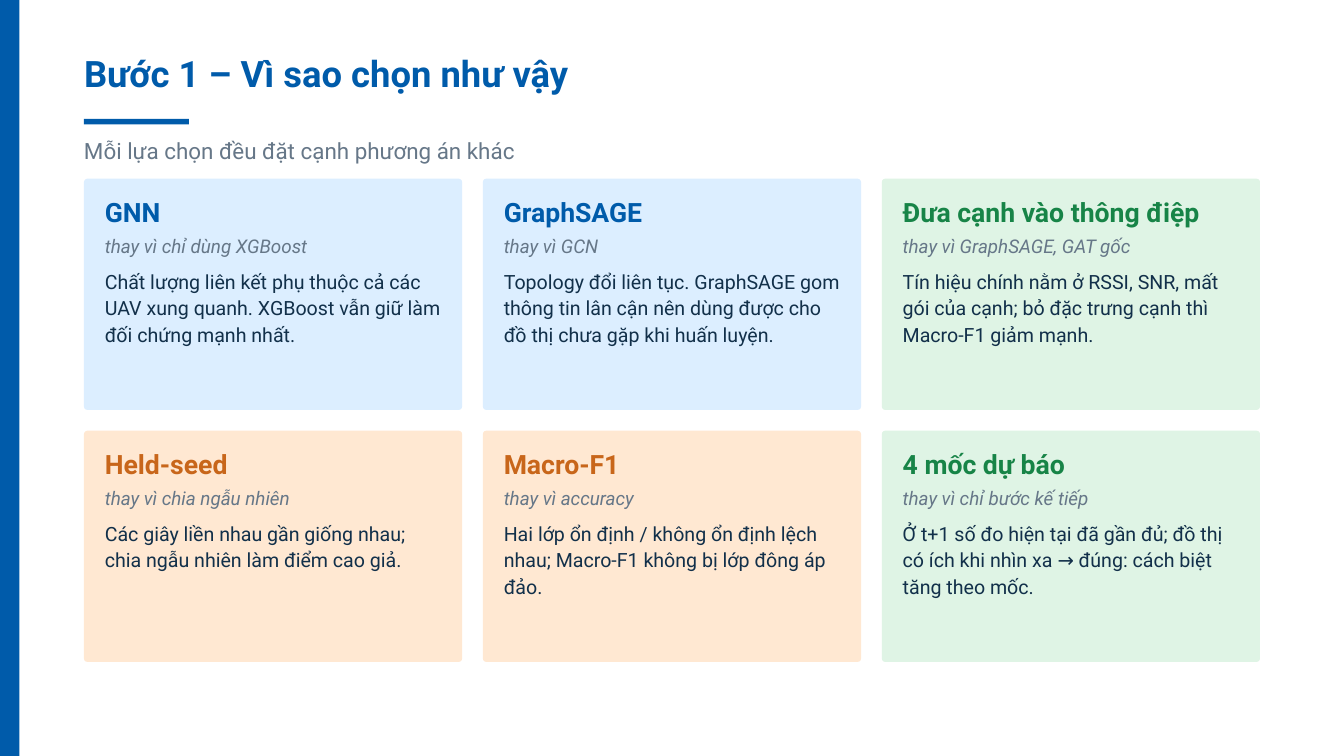
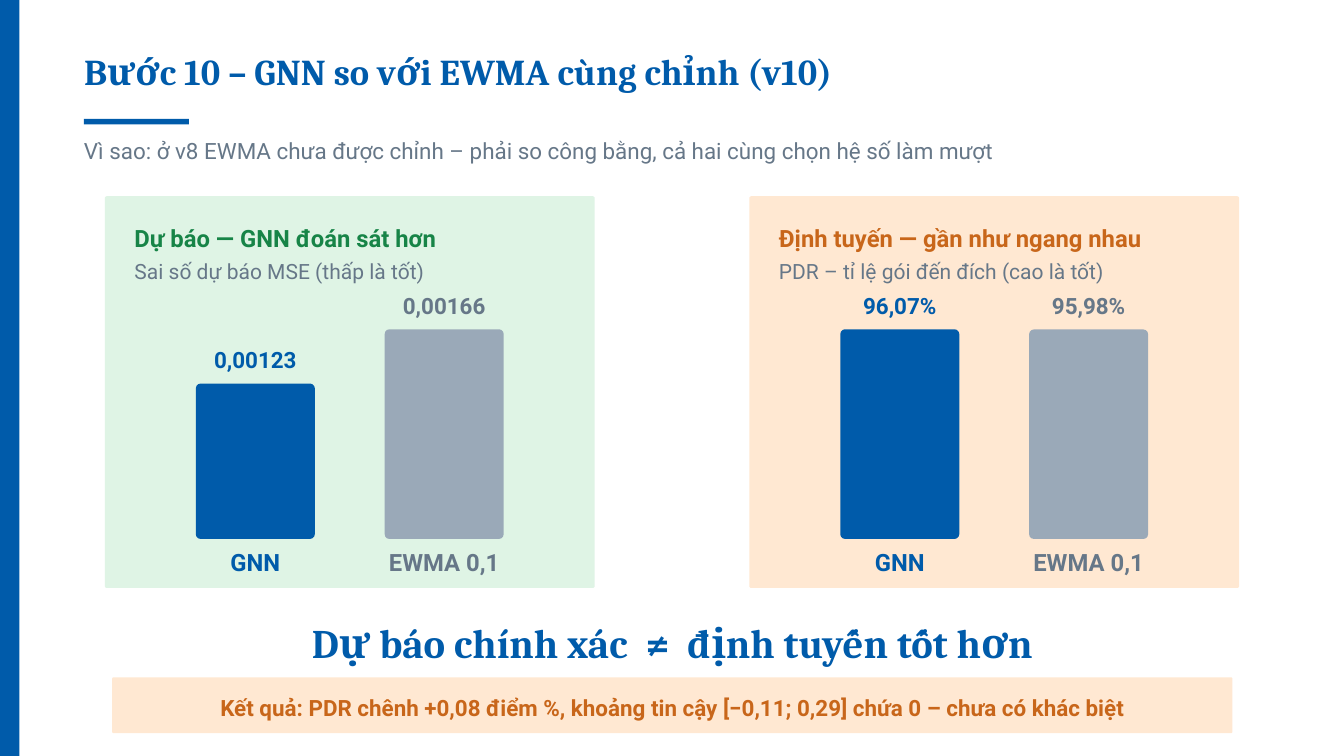
from pptx import Presentation
from pptx.dml.color import RGBColor
from pptx.enum.shapes import MSO_SHAPE
from pptx.enum.text import MSO_ANCHOR, MSO_AUTO_SIZE, PP_ALIGN
from pptx.util import Inches, Pt

BLUE, GREEN, ORANGE = "005BAA", "178447", "C8661A"
GREY, INK, BAR_GREY = "667788", "12304A", "9AA9B8"
TINT = {BLUE: "DCEEFF", GREEN: "DFF4E5", ORANGE: "FFE8D2"}

# Text styles: font settings plus exact line spacing in points
STYLES = {
    "title": dict(name="Roboto", size=39, bold=True, spacing=54.6),
    "serif title": dict(name="Cambria", size=39, bold=True, spacing=43.7),
    "subtitle": dict(name="Roboto", size=24, spacing=33.6),
    "card title": dict(name="Roboto", size=28.5, bold=True, spacing=39.9),
    "card note": dict(name="Roboto", size=20.2, italic=True, spacing=28.4),
    "card body": dict(name="Roboto", size=21, spacing=28.4),
    "panel title": dict(name="Roboto", size=25.5, bold=True, spacing=31.9),
    "panel note": dict(name="Roboto", size=22.5, spacing=31.5),
    "bar name": dict(name="Roboto", size=25.5, bold=True, spacing=35.7),
    "strong": dict(name="Roboto", size=24, bold=True, spacing=33.6),
    "takeaway": dict(name="Cambria", size=43.5, bold=True, spacing=60.9),
}

SLIDE_W, SLIDE_H = 20, 11.25
MARGIN = 1.25

REASONS_TITLE = "Bước 1 – Vì sao chọn như vậy"
REASONS_SUBTITLE = "Mỗi lựa chọn đều đặt cạnh phương án khác"
REASONS = [
    ("GNN", "thay vì chỉ dùng XGBoost",
     "Chất lượng liên kết phụ thuộc cả các UAV xung quanh. "
     "XGBoost vẫn giữ làm đối chứng mạnh nhất.", BLUE),
    ("GraphSAGE", "thay vì GCN",
     "Topology đổi liên tục. GraphSAGE gom thông tin lân cận nên dùng được cho "
     "đồ thị chưa gặp khi huấn luyện.", BLUE),
    ("Đưa cạnh vào thông điệp", "thay vì GraphSAGE, GAT gốc",
     "Tín hiệu chính nằm ở RSSI, SNR, mất gói của cạnh; "
     "bỏ đặc trưng cạnh thì Macro-F1 giảm mạnh.", GREEN),
    ("Held-seed", "thay vì chia ngẫu nhiên",
     "Các giây liền nhau gần giống nhau; chia ngẫu nhiên làm điểm cao giả.", ORANGE),
    ("Macro-F1", "thay vì accuracy",
     "Hai lớp ổn định / không ổn định lệch nhau; "
     "Macro-F1 không bị lớp đông áp đảo.", ORANGE),
    ("4 mốc dự báo", "thay vì chỉ bước kế tiếp",
     "Ở t+1 số đo hiện tại đã gần đủ; đồ thị có ích khi nhìn xa → đúng: "
     "cách biệt tăng theo mốc.", GREEN),
]

COMPARISON_TITLE = "Bước 10 – GNN so với EWMA cùng chỉnh (v10)"
COMPARISON_SUBTITLE = ("Vì sao: ở v8 EWMA chưa được chỉnh – phải so công bằng, "
                       "cả hai cùng chọn hệ số làm mượt")
METHODS = [("GNN", BLUE, BLUE), ("EWMA 0,1", BAR_GREY, GREY)]
PANELS = [
    (1.56, "Dự báo — GNN đoán sát hơn", "Sai số dự báo MSE (thấp là tốt)", GREEN,
     [(0.00123, "0,00123"), (0.00166, "0,00166")]),
    (11.15, "Định tuyến — gần như ngang nhau", "PDR – tỉ lệ gói đến đích (cao là tốt)",
     ORANGE, [(96.07, "96,07%"), (95.98, "95,98%")]),
]
TAKEAWAY = "Dự báo chính xác  ≠  định tuyến tốt hơn"
RESULT = ("Kết quả: PDR chênh +0,08 điểm %, khoảng tin cậy [−0,11; 0,29] "
          "chứa 0 – chưa có khác biệt")


def rgb(value):
    return RGBColor.from_string(value)


def write(frame, text, style, color, align):
    frame.word_wrap = True
    paragraph = frame.paragraphs[0]
    paragraph.text = text
    paragraph.alignment = align
    for key, value in STYLES[style].items():
        if key == "spacing":
            paragraph.line_spacing = Pt(value)
        else:
            setattr(paragraph.font, key, Pt(value) if key == "size" else value)
    paragraph.font.color.rgb = rgb(color)


def add_text(slide, box, text, style, color, align=PP_ALIGN.LEFT):
    frame = slide.shapes.add_textbox(*map(Inches, box)).text_frame
    for side in ("left", "top", "right", "bottom"):
        setattr(frame, f"margin_{side}", 0)
    frame.auto_size = MSO_AUTO_SIZE.SHAPE_TO_FIT_TEXT
    write(frame, text, style, color, align)


def add_block(slide, box, color, radius=0):
    """Plain filled rectangle; radius is the corner radius in inches."""
    preset = MSO_SHAPE.ROUNDED_RECTANGLE if radius else MSO_SHAPE.RECTANGLE
    block = slide.shapes.add_shape(preset, *map(Inches, box))
    if radius:
        block.adjustments[0] = radius / min(box[2:])
    block.shadow.inherit = False
    block.fill.solid()
    block.fill.fore_color.rgb = rgb(color)
    block.line.fill.background()
    return block


def add_step_slide(deck, title, title_style, title_top, subtitle):
    slide = deck.slides.add_slide(deck.slide_layouts[6])
    add_block(slide, (0, 0, 0.29, SLIDE_H), BLUE)
    add_block(slide, (MARGIN, 1.77, 1.56, 0.08), BLUE)
    add_text(slide, (MARGIN, title_top, 14.58, 1.4 - title_top), title, title_style, BLUE)
    add_text(slide, (MARGIN, 1.97, 16.67, 0.45), subtitle, "subtitle", GREY)
    return slide


def add_reason_cards(slide):
    columns, gap, height, inset = 3, 0.31, 3.44, 0.31
    width = (SLIDE_W - 2 * MARGIN - (columns - 1) * gap) / columns
    for index, (choice, instead_of, reason, color) in enumerate(REASONS):
        row, column = divmod(index, columns)
        left = MARGIN + column * (width + gap)
        top = 2.66 + row * (height + gap)
        add_block(slide, (left, top, width, height), TINT[color], 0.05)
        for offset, line_height, text, style, text_color in (
                (0.18, 0.55, choice, "card title", color),
                (0.78, 0.38, instead_of, "card note", GREY),
                (1.31, 1.15, reason, "card body", INK)):
            add_text(slide, (left + inset, top + offset, 5, line_height),
                     text, style, text_color)


def add_panel(slide, left, title, note, color, results):
    width, inset = 7.29, 0.44
    add_block(slide, (left, 2.92, width, 5.83), TINT[color], 0.03)
    text_left, text_width = left + inset, width - 2 * inset
    add_text(slide, (text_left, 3.31, text_width, 0.43), title, "panel title", color)
    add_text(slide, (text_left, 3.79, text_width, 0.44), note, "panel note", GREY)

    base, full_height, bar_width, pitch, label_width = 8.02, 3.12, 1.77, 2.81, 2.08
    highest = max(value for value, _ in results)
    first_center = left + (width - pitch) / 2
    for index, ((name, fill, text_color), (value, label)) in enumerate(zip(METHODS, results)):
        center = first_center + index * pitch
        height = full_height * value / highest
        top = base - height
        add_block(slide, (center - bar_width / 2, top, bar_width, height), fill, 0.07)
        label_left = center - label_width / 2
        add_text(slide, (label_left, top - 0.62, label_width, 0.45),
                 label, "strong", text_color, PP_ALIGN.CENTER)
        add_text(slide, (label_left, base + 0.06, label_width, 0.48),
                 name, "bar name", text_color, PP_ALIGN.CENTER)


def add_conclusion(slide):
    add_text(slide, (2.92, 9.07, 14.17, 0.82), TAKEAWAY, "takeaway", BLUE, PP_ALIGN.CENTER)
    band = add_block(slide, (1.67, 10.08, 16.67, 0.83), TINT[ORANGE], 0.02)
    band.text_frame.vertical_anchor = MSO_ANCHOR.MIDDLE
    write(band.text_frame, RESULT, "strong", ORANGE, PP_ALIGN.CENTER)


def main():
    deck = Presentation()
    deck.slide_width, deck.slide_height = Inches(SLIDE_W), Inches(SLIDE_H)

    reasons = add_step_slide(deck, REASONS_TITLE, "title", 0.65, REASONS_SUBTITLE)
    add_reason_cards(reasons)

    comparison = add_step_slide(deck, COMPARISON_TITLE, "serif title", 0.78,
                                COMPARISON_SUBTITLE)
    for panel in PANELS:
        add_panel(comparison, *panel)
    add_conclusion(comparison)

    deck.save("out.pptx")


if __name__ == "__main__":
    main()
